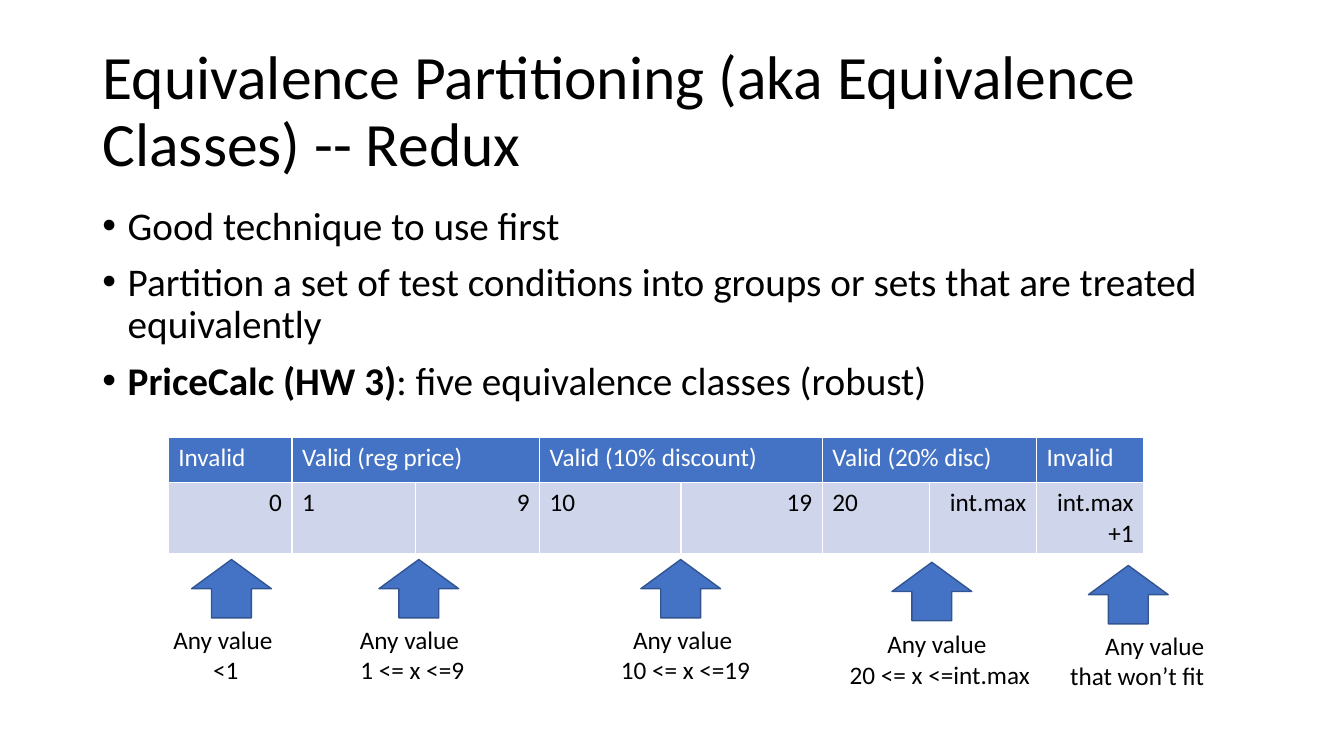
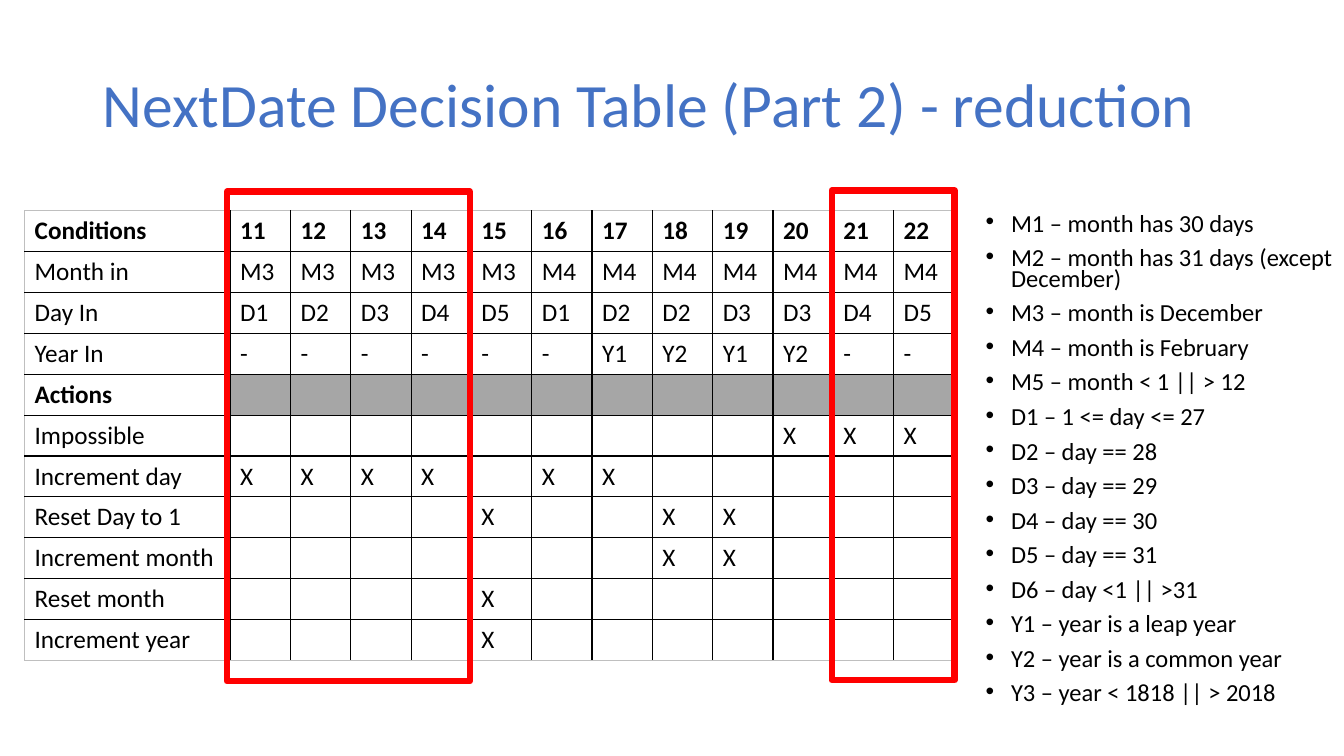
from dataclasses import dataclass

from lxml.etree import SubElement
from pptx import Presentation
from pptx.dml.color import RGBColor
from pptx.enum.shapes import MSO_SHAPE as Preset
from pptx.enum.text import MSO_ANCHOR as Anchor, MSO_AUTO_SIZE as AutoSize, PP_ALIGN as Align
from pptx.oxml.ns import qn
from pptx.shapes.autoshape import Shape
from pptx.slide import Slide
from pptx.table import Table, _Cell as Cell
from pptx.text.text import TextFrame, _Paragraph as Paragraph
from pptx.util import Cm, Pt

FONT = "Calibri"
BLACK = RGBColor(0x00, 0x00, 0x00)
WHITE = RGBColor(0xFF, 0xFF, 0xFF)
BLUE = RGBColor(0x44, 0x72, 0xC4)
DARK_BLUE = RGBColor(0x32, 0x54, 0x91)
PALE_BLUE = RGBColor(0xCF, 0xD5, 0xEA)
GRAY = RGBColor(0xA6, 0xA6, 0xA6)
LIGHT_GRAY = RGBColor(0xBF, 0xBF, 0xBF)
RED = RGBColor(0xFF, 0x00, 0x00)
TITLE_ONLY = 5
HEADER_HEIGHT, RULE_ROW_HEIGHT = 1.14, 1.03


@dataclass(frozen=True)
class Box:
    left: float
    top: float
    width: float
    height: float

    def lengths(self) -> tuple[Cm, Cm, Cm, Cm]:
        return Cm(self.left), Cm(self.top), Cm(self.width), Cm(self.height)


@dataclass(frozen=True)
class Bullet:
    text: str
    lead: str = ""


@dataclass(frozen=True)
class Partition:
    name: str
    bounds: tuple[str, ...]
    column_width: float


@dataclass(frozen=True)
class Pointer:
    arrow_left: float
    arrow_top: float
    caption: Box
    lines: tuple[str, ...]
    align: Align = Align.CENTER
    wrap: bool = False


@dataclass(frozen=True)
class Action:
    name: str
    rules: tuple[int, ...]


PARTITIONS = (
    Partition("Invalid", ("0",), 3.12),
    Partition("Valid (reg price)", ("1", "9"), 3.12),
    Partition("Valid (10% discount)", ("10", "19"), 3.56),
    Partition("Valid (20% disc)", ("20", "int.max"), 2.7),
    Partition("Invalid", ("int.max+1",), 2.7),
)
POINTERS = (
    Pointer(4.83, 14.1, Box(4.04, 15.6, 3.3, 1.8), ("Any value ", "<1")),
    Pointer(9.55, 14.1, Box(8.74, 15.6, 3.3, 1.8), ("Any value ", "1 <= x <=9")),
    Pointer(16.15, 14.1, Box(15.37, 15.6, 3.81, 1.8), ("Any value ", "10 <= x <=19")),
    Pointer(22.48, 14.17, Box(21.13, 15.72, 5.11, 1.8), ("Any value ", "20 <= x <=int.max")),
    Pointer(27.43, 14.25, Box(26.64, 15.75, 3.96, 1.8),
            ("Any value that won’t fit",), Align.RIGHT, True),
)
TECHNIQUE_BULLETS = (
    Bullet("Good technique to use first"),
    Bullet("Partition a set of test conditions into groups or sets that are treated equivalently"),
    Bullet(": five equivalence classes (robust)", lead="PriceCalc (HW 3)"),
)
RULES = tuple(range(11, 23))
CONDITIONS = (
    ("Month in", "M3 M3 M3 M3 M3 M4 M4 M4 M4 M4 M4 M4"),
    ("Day In", "D1 D2 D3 D4 D5 D1 D2 D2 D3 D3 D4 D5"),
    ("Year In", "- - - - - - Y1 Y2 Y1 Y2 - -"),
)
ACTIONS = (
    Action("Impossible", (20, 21, 22)),
    Action("Increment day", (11, 12, 13, 14, 16, 17)),
    Action("Reset Day to 1", (15, 18, 19)),
    Action("Increment month", (18, 19)),
    Action("Reset month", (15,)),
    Action("Increment year", (15,)),
)
LEGEND = tuple(Bullet(text) for text in (
    "M1 – month has 30 days",
    "M2 – month has 31 days (except December)",
    "M3 – month is December",
    "M4 – month is February",
    "M5 – month < 1 || > 12",
    "D1 – 1 <= day <= 27",
    "D2 – day == 28",
    "D3 – day == 29",
    "D4 – day == 30",
    "D5 – day == 31",
    "D6 – day <1 || >31",
    "Y1 – year is a leap year",
    "Y2 – year is a common year",
    "Y3 – year < 1818 || > 2018",
))
REDUCED_RULES = (Box(5.72, 4.83, 6.12, 12.34), Box(20.96, 4.8, 3.1, 12.34))


def write(paragraph: Paragraph, text: str, *, size: float = 18, color: RGBColor = BLACK,
          bold: bool = False, align: Align = Align.LEFT) -> None:
    paragraph.alignment = align
    run = paragraph.add_run()
    run.text = text
    run.font.name = FONT
    run.font.size = Pt(size)
    run.font.bold = bold
    run.font.color.rgb = color


def paragraph_at(frame: TextFrame, index: int) -> Paragraph:
    return frame.add_paragraph() if index else frame.paragraphs[0]


def add_titled_slide(presentation: Presentation, text: str, box: Box, color: RGBColor) -> Slide:
    slide = presentation.slides.add_slide(presentation.slide_layouts[TITLE_ONLY])
    title = slide.shapes.title
    title.left, title.top, title.width, title.height = box.lengths()
    frame = title.text_frame
    frame.auto_size = AutoSize.NONE
    frame.vertical_anchor = Anchor.MIDDLE
    frame.paragraphs[0].line_spacing = 0.9
    write(frame.paragraphs[0], text, size=44, color=color)
    return slide


def add_text_frame(slide: Slide, box: Box, wrap: bool = True) -> TextFrame:
    frame = slide.shapes.add_textbox(*box.lengths()).text_frame
    frame.word_wrap = wrap
    return frame


def add_bullets(slide: Slide, box: Box, bullets: tuple[Bullet, ...], *, size: float,
                line_spacing: float) -> None:
    frame = add_text_frame(slide, box)
    for index, bullet in enumerate(bullets):
        paragraph = paragraph_at(frame, index)
        properties = paragraph._p.get_or_add_pPr()
        properties.set("marL", str(Cm(0.64)))
        properties.set("indent", str(-Cm(0.64)))
        SubElement(properties, qn("a:buFont"), typeface="Arial")
        SubElement(properties, qn("a:buChar"), char="•")
        paragraph.line_spacing = line_spacing
        if index:
            paragraph.space_before = Pt(10)
        if bullet.lead:
            write(paragraph, bullet.lead, size=size, bold=True)
        write(paragraph, bullet.text, size=size)


def add_shape(slide: Slide, preset: Preset, box: Box, *, fill: RGBColor | None,
              line: RGBColor, line_width: float) -> Shape:
    shape = slide.shapes.add_shape(preset, *box.lengths())
    shape.shadow.inherit = False
    if fill is None:
        shape.fill.background()
    else:
        shape.fill.solid()
        shape.fill.fore_color.rgb = fill
    shape.line.color.rgb = line
    shape.line.width = Pt(line_width)
    return shape


def add_plain_table(slide: Slide, left: float, top: float, widths: list[float],
                    heights: list[float]) -> Table:
    box = Box(left, top, sum(widths), sum(heights))
    table = slide.shapes.add_table(len(heights), len(widths), *box.lengths()).table
    table.first_row = False
    table.horz_banding = False
    for column, width in zip(table.columns, widths):
        column.width = Cm(width)
    for row, height in zip(table.rows, heights):
        row.height = Cm(height)
    return table


def style_cell(cell: Cell, fill: RGBColor | None, borders: dict[str, RGBColor]) -> None:
    properties = cell._tc.get_or_add_tcPr()
    for side in "LRTB":
        line = SubElement(properties, qn(f"a:ln{side}"), w=str(Pt(1)))
        SubElement(SubElement(line, qn("a:solidFill")), qn("a:srgbClr"), val=str(borders[side]))
    if fill is None:
        cell.fill.background()
    else:
        cell.fill.solid()
        cell.fill.fore_color.rgb = fill


def add_partition_table(slide: Slide) -> None:
    widths = [part.column_width for part in PARTITIONS for _ in part.bounds]
    table = add_plain_table(slide, 4.24, 11.02, widths, [HEADER_HEIGHT, 0.66])
    for row, fill in enumerate((BLUE, PALE_BLUE)):
        for column in range(len(widths)):
            style_cell(table.cell(row, column), fill, dict.fromkeys("LRTB", WHITE))
    start = 0
    for part in PARTITIONS:
        last = start + len(part.bounds) - 1
        header = table.cell(0, start)
        if last > start:
            header.merge(table.cell(0, last))
        write(header.text_frame.paragraphs[0], part.name, color=WHITE)
        for column, bound in enumerate(part.bounds, start):
            align = Align.RIGHT if column == last else Align.LEFT
            write(table.cell(1, column).text_frame.paragraphs[0], bound, align=align)
        start = last + 1


def add_decision_table(slide: Slide) -> None:
    rows = [("Conditions", *map(str, RULES))]
    rows += [(name, *values.split()) for name, values in CONDITIONS]
    rows.append(("Actions", *[""] * len(RULES)))
    rows += [(action.name, *("X" if rule in action.rules else "" for rule in RULES))
             for action in ACTIONS]
    widths = [5.18] + [1.52] * len(RULES)
    table = add_plain_table(slide, 0.62, 5.31, widths, [RULE_ROW_HEIGHT] * len(rows))
    for row, values in enumerate(rows):
        heading = values[0] in ("Conditions", "Actions")
        for column, value in enumerate(values):
            outer = {"L": column == 0, "R": column == len(RULES),
                     "T": row == 0, "B": row == len(rows) - 1}
            borders = {side: LIGHT_GRAY if edge else BLACK for side, edge in outer.items()}
            shaded = values[0] == "Actions" and column > 0
            cell = table.cell(row, column)
            style_cell(cell, GRAY if shaded else None, borders)
            if value:
                write(cell.text_frame.paragraphs[0], value, bold=heading)


def add_pointer(slide: Slide, pointer: Pointer) -> None:
    arrow = Box(pointer.arrow_left, pointer.arrow_top, 2.01, 1.47)
    add_shape(slide, Preset.UP_ARROW, arrow, fill=BLUE, line=DARK_BLUE, line_width=1)
    frame = add_text_frame(slide, pointer.caption, pointer.wrap)
    for index, text in enumerate(pointer.lines):
        write(paragraph_at(frame, index), text, align=pointer.align)


def build_partitioning_slide(presentation: Presentation) -> None:
    slide = add_titled_slide(
        presentation, "Equivalence Partitioning (aka Equivalence Classes) -- Redux",
        Box(2.33, 1.01, 29.21, 3.68), BLACK)
    add_bullets(slide, Box(2.33, 5.07, 29.21, 12.09), TECHNIQUE_BULLETS,
                size=28, line_spacing=0.9)
    add_partition_table(slide)
    for pointer in POINTERS:
        add_pointer(slide, pointer)


def build_decision_slide(presentation: Presentation) -> None:
    slide = add_titled_slide(
        presentation, "NextDate Decision Table (Part 2) - reduction",
        Box(2.33, 1.37, 29.21, 2.69), BLUE)
    add_decision_table(slide)
    add_bullets(slide, Box(24.59, 5.31, 9.28, 13.31), LEGEND, size=17.5, line_spacing=0.7)
    for box in REDUCED_RULES:
        add_shape(slide, Preset.RECTANGLE, box, fill=None, line=RED, line_width=4.5)


def main() -> None:
    presentation = Presentation()
    presentation.slide_width = Cm(33.87)
    presentation.slide_height = Cm(19.05)
    build_partitioning_slide(presentation)
    build_decision_slide(presentation)
    presentation.save("out.pptx")


if __name__ == "__main__":
    main()
